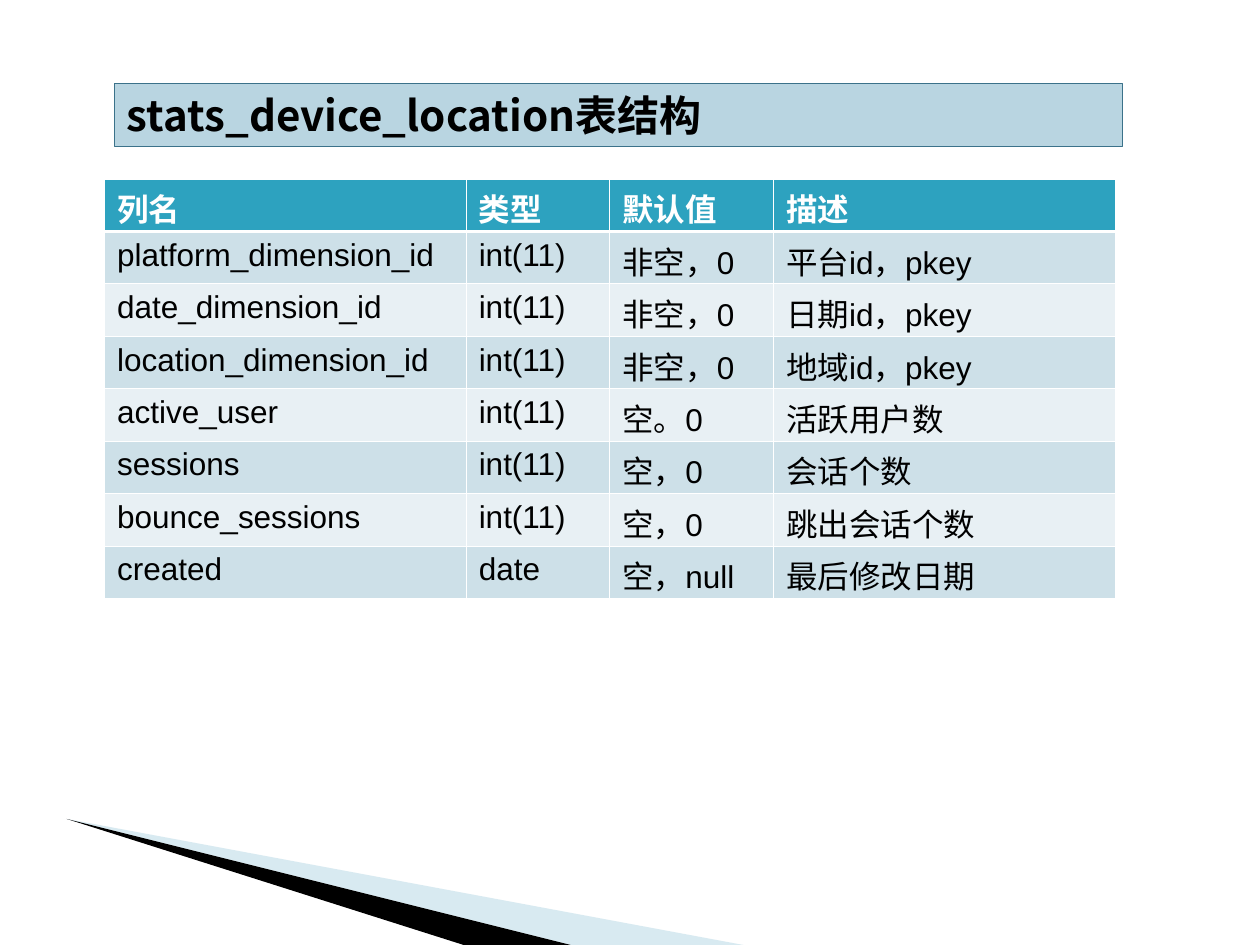
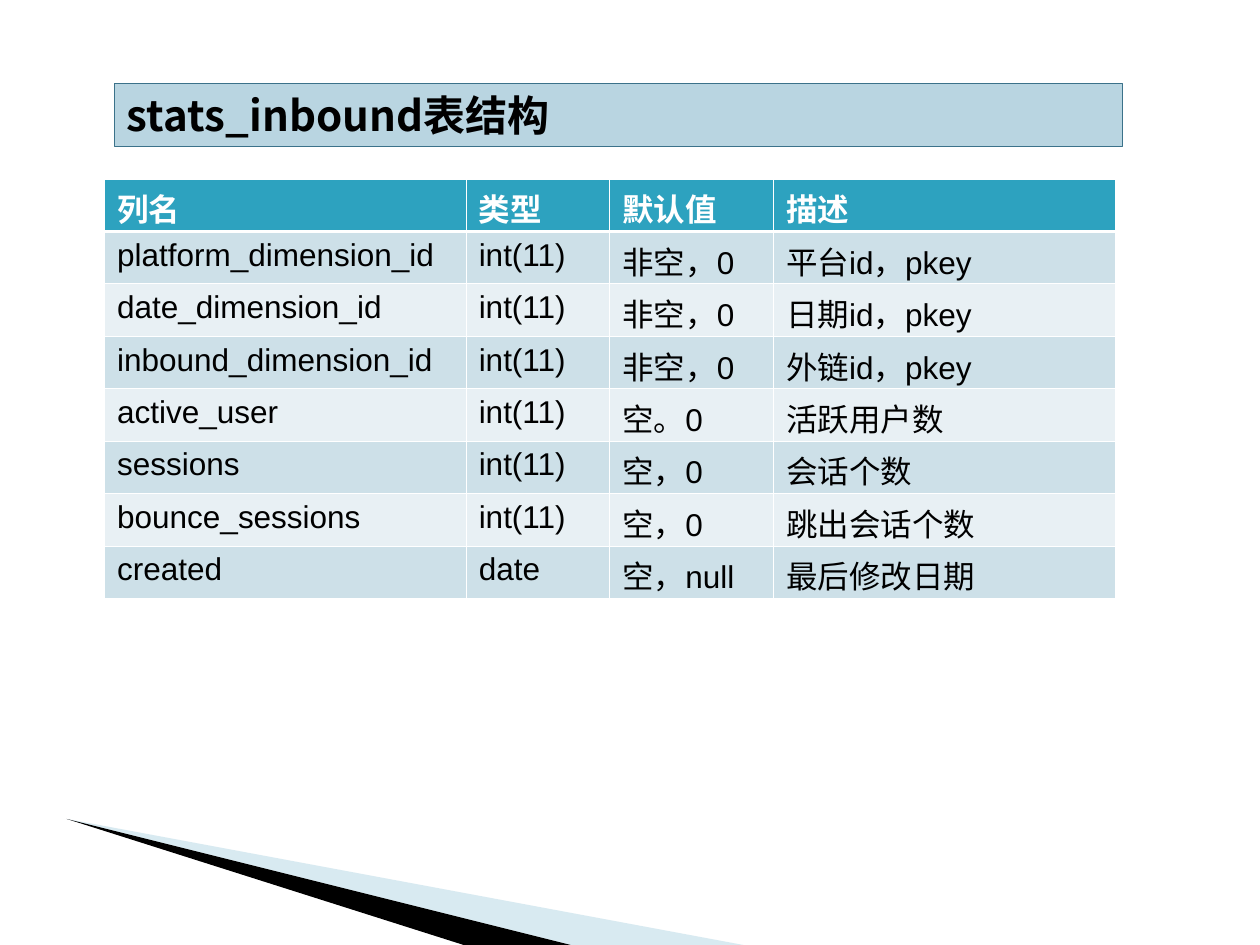
from lxml import etree
from pptx import Presentation
from pptx.dml.color import RGBColor
from pptx.enum.shapes import MSO_SHAPE
from pptx.enum.text import MSO_ANCHOR, PP_ALIGN
from pptx.oxml.ns import qn
from pptx.util import Inches, Pt

RECT = MSO_SHAPE.RECTANGLE
MIDDLE = MSO_ANCHOR.MIDDLE
LEFT = PP_ALIGN.LEFT

COLORS = {
    "black": "000000", "white": "FFFFFF", "wedge": "9FCBDC",
    "title_fill": "B9D5E1", "title_line": "3B728A",
    "header": "2DA2BF", "band_dark": "CDE0E8", "band_light": "E8F0F4",
}
CJK_FONT = "Noto Sans CJK SC"
TITLE_TEXT = {"size": Pt(24), "name": CJK_FONT, "bold": True}
HEADER_TEXT = {"size": Pt(18), "name": "Arial", "bold": True}
BODY_TEXT = {**HEADER_TEXT, "bold": False}

COL_WIDTHS = [2.87, 1.14, 1.3, 2.71]
TABLE_HEIGHT = 3.33
THIN, THICK = 0.45, 1.47

HEADERS = ["列名", "类型", "默认值", "描述"]
METRICS = [
    ["active_user", "int(11)", "空。0", "活跃用户数"],
    ["sessions", "int(11)", "空，0", "会话个数"],
    ["bounce_sessions", "int(11)", "空，0", "跳出会话个数"],
    ["created", "date", "空，null", "最后修改日期"],
]
# Statistics table name, its own dimension and that dimension's label
STATS_TABLES = [
    ("stats_device_location", "location", "地域"),
    ("stats_inbound", "inbound", "外链"),
]


def rgb(name):
    return RGBColor.from_string(COLORS[name])


class Deck:
    def __init__(self):
        self.prs = Presentation()
        self.prs.slide_width, self.prs.slide_height = Inches(10), Inches(7.5)
        self.s = None

    def new_slide(self):
        self.s = self.prs.slides.add_slide(self.prs.slide_layouts[6])
        self.wedge([(0.53, 6.5), (5.9, 7.5), (4.53, 7.5)], "wedge", alpha=40)
        self.wedge([(0.53, 6.5), (4.53, 7.5), (3.68, 7.5)], "black")

    def wedge(self, points, color, alpha=100):
        start, *rest = [(Inches(x), Inches(y)) for x, y in points]
        builder = self.s.shapes.build_freeform(*start)
        builder.add_line_segments(rest, close=True)
        sp = builder.convert_to_shape()
        sp.shadow.inherit = False
        sp.line.fill.background()
        sp.fill.solid()
        sp.fill.fore_color.rgb = rgb(color)
        if alpha < 100:
            clr = sp.fill._xPr.find(f".//{qn('a:srgbClr')}")
            etree.SubElement(clr, qn("a:alpha"), val=str(alpha * 1000))

    def text(self, tf, text, fmt, color):
        p = tf.paragraphs[0]
        p.alignment = LEFT
        r = p.add_run()
        r.text = text
        for key, value in fmt.items():
            setattr(r.font, key, value)
        r.font.color.rgb = rgb(color)
        etree.SubElement(r.font._element, qn("a:ea"), typeface=CJK_FONT)

    def title(self, text):
        sp = self.s.shapes.add_shape(RECT, Inches(0.91), Inches(0.66), Inches(8), Inches(0.5))
        sp.shadow.inherit = False
        sp.fill.solid()
        sp.fill.fore_color.rgb = rgb("title_fill")
        sp.line.color.rgb = rgb("title_line")
        sp.line.width = Pt(0.25)
        tf = sp.text_frame
        tf.word_wrap = True
        tf.vertical_anchor = MIDDLE
        self.text(tf, text, TITLE_TEXT, "black")

    def borders(self, cell, widths):
        tc_pr = cell._tc.get_or_add_tcPr()
        for side, width in widths.items():
            ln = etree.SubElement(tc_pr, qn(f"a:ln{side}"), w=str(Pt(width)))
            fill = etree.SubElement(ln, qn("a:solidFill"))
            etree.SubElement(fill, qn("a:srgbClr"), val=COLORS["white"])

    def table(self, rows):
        frame = self.s.shapes.add_table(
            len(rows), len(COL_WIDTHS), Inches(0.83), Inches(1.42),
            Inches(sum(COL_WIDTHS)), Inches(TABLE_HEIGHT))
        table = frame.table
        for col, width in zip(table.columns, COL_WIDTHS):
            col.width = Inches(width)
        for i, values in enumerate(rows):
            table.rows[i].height = Inches(TABLE_HEIGHT / len(rows))
            band = "header" if i == 0 else "band_dark" if i % 2 else "band_light"
            fmt, color = (BODY_TEXT, "black") if i else (HEADER_TEXT, "white")
            widths = {"L": THIN, "R": THIN,
                      "T": THICK if i == 1 else THIN,
                      "B": THICK if i == 0 else THIN}
            for j, value in enumerate(values):
                cell = table.cell(i, j)
                cell.margin_bottom = 0  # keeps tall CJK lines inside the row
                self.borders(cell, widths)
                cell.fill.solid()
                cell.fill.fore_color.rgb = rgb(band)
                self.text(cell.text_frame, value, fmt, color)


def main():
    deck = Deck()
    for name, dimension, label in STATS_TABLES:
        dimensions = [("platform", "平台"), ("date", "日期"), (dimension, label)]
        keys = [[f"{key}_dimension_id", "int(11)", "非空，0", f"{desc}id，pkey"]
                for key, desc in dimensions]
        deck.new_slide()
        deck.title(f"{name}表结构")
        deck.table([HEADERS, *keys, *METRICS])
    deck.prs.save("out.pptx")


if __name__ == "__main__":
    main()
